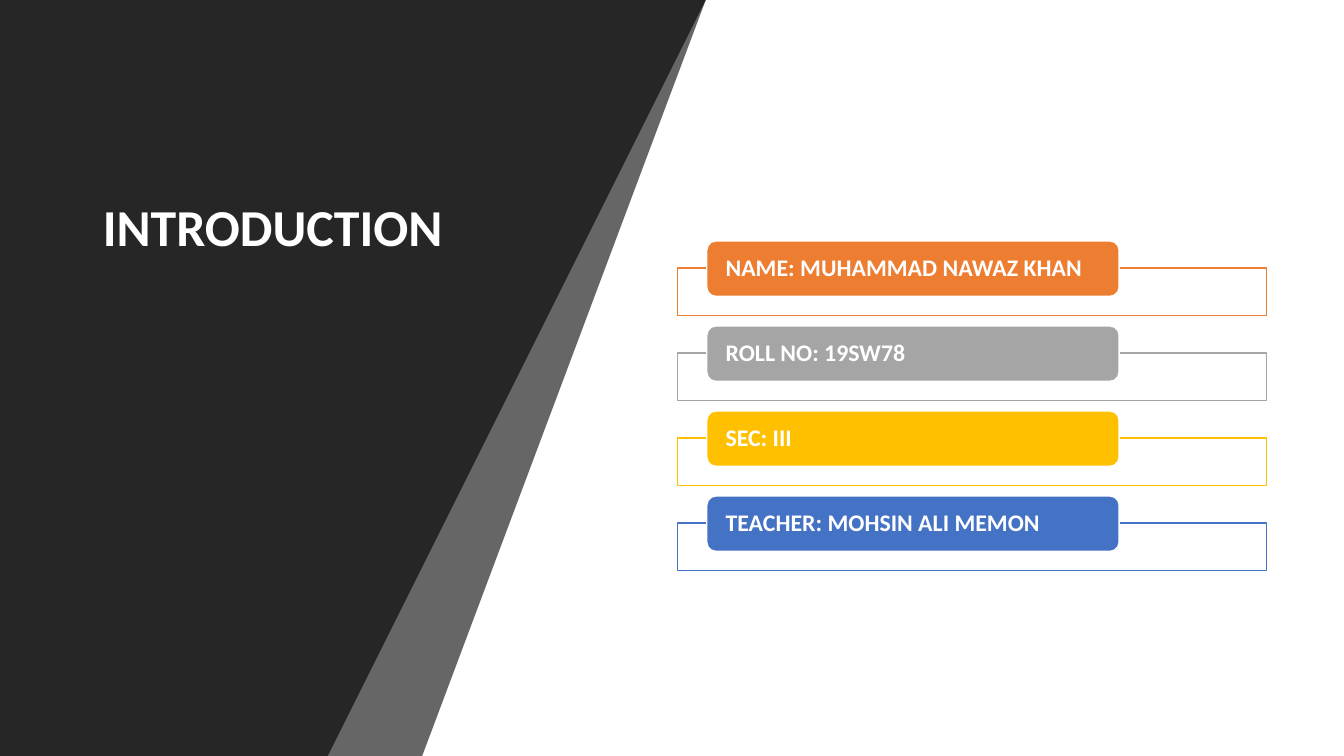
import dataclasses

import lxml.etree
import pptx
import pptx.dml.color
import pptx.enum.shapes
import pptx.enum.text
import pptx.oxml.ns
import pptx.util

Inches = pptx.util.Inches
Pt = pptx.util.Pt
Kind = pptx.enum.shapes.MSO_SHAPE


@dataclasses.dataclass(frozen=True)
class Theme:
    font: str = "Calibri"
    head: int = 37
    label: int = 17
    dark: str = "262626"
    white: str = "FFFFFF"
    hues: tuple = ("ED7D31", "A5A5A5", "FFC000", "4472C4")


class Deck:
    def __init__(self, theme):
        self.theme = theme
        self.show = pptx.Presentation()
        self.show.slide_width = Inches(13.33)
        self.show.slide_height = Inches(7.5)
        self.slide = self.show.slides.add_slide(self.show.slide_layouts[5])

    def paint(self, shape, fill, line=None, alpha=100):
        shape.shadow.inherit = False
        shape.fill.solid()
        shape.fill.fore_color.rgb = pptx.dml.color.RGBColor.from_string(fill)
        if alpha < 100:
            tag = pptx.oxml.ns.qn("a:srgbClr")
            color = next(shape._element.spPr.iter(tag))
            node = lxml.etree.SubElement(color, pptx.oxml.ns.qn("a:alpha"))
            node.set("val", str(alpha * 1000))
        if line:
            shape.line.color.rgb = pptx.dml.color.RGBColor.from_string(line)
            shape.line.width = Pt(1)
        else:
            shape.line.fill.background()

    def label(self, shape, text, size):
        frame = shape.text_frame
        frame.word_wrap = True
        frame.auto_size = pptx.enum.text.MSO_AUTO_SIZE.NONE
        frame.vertical_anchor = pptx.enum.text.MSO_ANCHOR.MIDDLE
        para = frame.paragraphs[0]
        para.alignment = pptx.enum.text.PP_ALIGN.LEFT
        para.line_spacing = 0.9
        run = para.add_run()
        run.text = text
        run.font.name = self.theme.font
        run.font.size = Pt(size)
        run.font.bold = True
        run.font.color.rgb = pptx.dml.color.RGBColor.from_string(self.theme.white)

    def wedge(self, top, base, alpha=100):
        form = self.slide.shapes.build_freeform(0, 0, scale=Inches(1))
        form.add_line_segments([(top, 0), (base, 7.5), (0, 7.5)], close=True)
        self.paint(form.convert_to_shape(), self.theme.dark, alpha=alpha)

    def title(self, text, left, top, width, height):
        shape = self.slide.shapes.title
        shape.left, shape.top = Inches(left), Inches(top)
        shape.width, shape.height = Inches(width), Inches(height)
        self.label(shape, text, self.theme.head)
        tree = self.slide.shapes._spTree
        tree.remove(shape._element)
        tree.append(shape._element)

    def box(self, kind, left, top, width, height, fill, line, alpha=100):
        shape = self.slide.shapes.add_shape(
            kind, Inches(left), Inches(top), Inches(width), Inches(height)
        )
        self.paint(shape, fill, line, alpha)
        return shape

    def entry(self, text, top, hue):
        white = self.theme.white
        self.box(Kind.RECTANGLE, 6.72, top + 0.27, 5.84, 0.47, white, hue, 90)
        pill = self.box(Kind.ROUNDED_RECTANGLE, 7.01, top, 4.09, 0.55, hue, white)
        frame = pill.text_frame
        frame.margin_left = frame.margin_right = Inches(0.16)
        frame.margin_top = frame.margin_bottom = 0
        self.label(pill, text, self.theme.label)


def main():
    theme = Theme()
    deck = Deck(theme)
    deck.wedge(6.98, 3.5, alpha=70)
    deck.wedge(6.53, 3.06)
    deck.title("INTRODUCTION", 0.92, 0.48, 3.58, 3.6)
    facts = (
        "NAME: MUHAMMAD NAWAZ KHAN",
        "ROLL NO: 19SW78",
        "SEC: III",
        "TEACHER: MOHSIN ALI MEMON",
    )
    first, last = 2.39, 4.92
    pitch = (last - first) / (len(facts) - 1)
    for index, (fact, hue) in enumerate(zip(facts, theme.hues)):
        deck.entry(fact, first + index * pitch, hue)
    deck.show.save("out.pptx")


if __name__ == "__main__":
    main()
